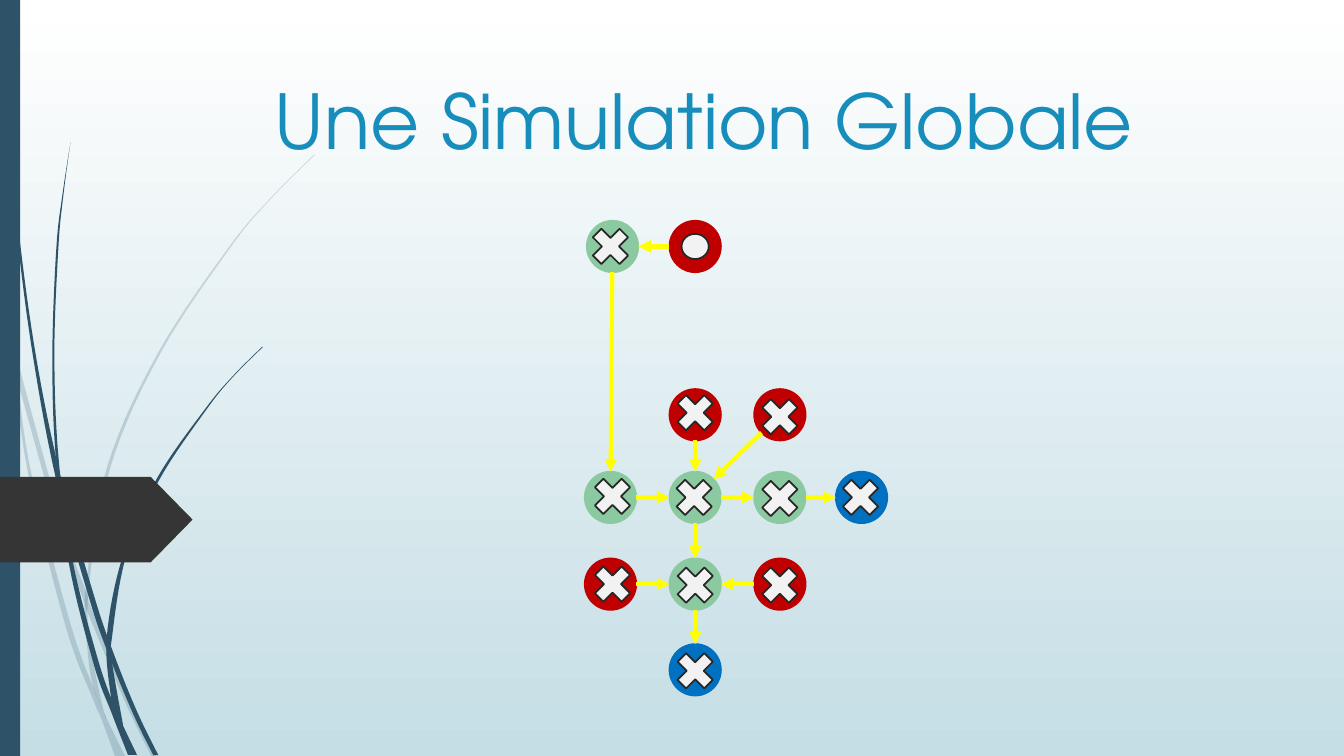
from math import hypot

from lxml import etree
from pptx import Presentation
from pptx import util as u
from pptx.dml.color import RGBColor
from pptx.enum import shapes, text
from pptx.oxml import ns

WHITE = RGBColor(0xFF, 0xFF, 0xFF)
MIST = RGBColor(0xC5, 0xDE, 0xE5)
NAVY = RGBColor(0x2E, 0x53, 0x69)
CHARCOAL = RGBColor(0x35, 0x35, 0x35)
TITLE_BLUE = RGBColor(0x17, 0x8D, 0xBB)
RED = RGBColor(0xC0, 0x00, 0x00)
GREEN = RGBColor(0x8B, 0xC9, 0xA0)
BLUE = RGBColor(0x00, 0x70, 0xC0)
YELLOW = RGBColor(0xFF, 0xFF, 0x00)
MARK_FILL = RGBColor(0xF2, 0xF2, 0xF2)
MARK_LINE = RGBColor(0x27, 0x27, 0x27)

NODE_SIZE = 0.51
SHAPE = shapes.MSO_SHAPE

PALE_BLADES = [
    ([(0, 2.99), (0.1, 3.44), (0.17, 3.76), (0.58, 5.22), (0.84, 5.99),
      (0.88, 6.1), (1.23, 6.94), (1.5, 7.5)],
     [(0, 2.82), (0.09, 3.22), (0.14, 3.45), (0.62, 5.2), (0.85, 5.86),
      (0.92, 6.07), (1.27, 6.92), (1.55, 7.5)]),
    ([(0.11, 3.5), (0.28, 4.7), (0.65, 6.21), (0.92, 6.93), (1.01, 7.14), (1.14, 7.5)],
     [(0.11, 3.5), (0.17, 3.76), (0.31, 4.69), (0.7, 6.19), (0.93, 6.83),
      (1.05, 7.11), (1.24, 7.5)]),
    ([(3.12, 1.53), (2.68, 1.97), (2.28, 2.44), (1.58, 3.48), (1.07, 4.61),
      (0.85, 5.84), (0.87, 6.46), (0.93, 6.83), (1.05, 7.11)],
     [(3.12, 1.54), (2.68, 1.98), (2.29, 2.45), (1.6, 3.49), (1.1, 4.62),
      (0.88, 5.84), (0.91, 6.46), (1.03, 7.06), (1.05, 7.11)]),
]
DARK_BLADES = [
    ([(0.03, 0), (0.04, 0.48), (0.07, 1.1), (0.17, 2.33), (0.33, 3.55), (0.56, 4.77),
      (0.88, 5.92), (1.06, 6.45), (1.32, 7.08), (1.52, 7.49)],
     [(0.04, 0), (0.05, 0.48), (0.08, 1.09), (0.19, 2.32), (0.36, 3.55), (0.6, 4.72),
      (0.93, 5.9), (1.13, 6.49), (1.36, 7.06), (1.57, 7.49)]),
    ([(0.7, 1.41), (0.62, 1.93), (0.56, 2.45), (0.52, 3.49), (0.55, 4.49),
      (0.68, 5.57), (0.93, 6.59), (1.11, 7.08), (1.27, 7.49)],
     [(0.7, 1.41), (0.63, 1.93), (0.58, 2.45), (0.54, 3.49), (0.58, 4.53),
      (0.72, 5.56), (0.98, 6.57), (1.16, 7.06), (1.36, 7.49)]),
    ([(2.6, 3.44), (2.31, 3.73), (2.04, 4.05), (1.56, 4.74), (1.22, 5.51),
      (1.06, 6.31), (1.1, 6.91), (1.17, 7.22)],
     [(2.61, 3.44), (2.31, 3.74), (2.05, 4.06), (1.58, 4.76), (1.25, 5.52),
      (1.11, 6.33), (1.11, 6.56), (1.22, 7.19)]),
]

COLUMNS = [5.8, 6.64, 7.48, 8.29]
ROWS = [2.19, 3.86, 4.68, 5.54, 6.39]
NODES = {
    "start": (RED, COLUMNS[1], ROWS[0]),
    "first": (GREEN, 5.82, ROWS[0]),
    "top source": (RED, COLUMNS[1], ROWS[1]),
    "corner source": (RED, COLUMNS[2], ROWS[1]),
    "west": (GREEN, COLUMNS[0], ROWS[2]),
    "hub": (GREEN, COLUMNS[1], ROWS[2]),
    "east": (GREEN, COLUMNS[2], ROWS[2]),
    "east exit": (BLUE, COLUMNS[3], ROWS[2]),
    "left source": (RED, COLUMNS[0], ROWS[3]),
    "south": (GREEN, COLUMNS[1], ROWS[3]),
    "right source": (RED, COLUMNS[2], ROWS[3]),
    "south exit": (BLUE, COLUMNS[1], ROWS[4]),
}
FLOWS = [
    ("start", "first"), ("first", "west"), ("top source", "hub"),
    ("corner source", "hub"), ("hub", "east"), ("east", "east exit"),
    ("west", "hub"), ("hub", "south"), ("left source", "south"),
    ("right source", "south"), ("south", "south exit"),
]
CROSS_SHIFTS = {
    "first": (-0.02, 0), "top source": (0, -0.02), "corner source": (0, 0.02),
    "west": (0.02, -0.01), "hub": (-0.01, 0), "east": (0, 0.01),
    "east exit": (-0.01, 0), "left source": (0.02, 0), "south": (0, 0.01),
    "right source": (0, 0.01), "south exit": (0, 0.01),
}


def smooth(points, steps=8):
    padded = [points[0], *points, points[-1]]
    curve = [points[0]]
    for a, b, c, d in zip(padded, padded[1:], padded[2:], padded[3:]):
        for step in range(1, steps + 1):
            t = step / steps
            curve.append(tuple(
                0.5 * (2 * q + (r - p) * t + (2 * p - 5 * q + 4 * r - s) * t ** 2
                       + (3 * q - p - 3 * r + s) * t ** 3)
                for p, q, r, s in zip(a, b, c, d)))
    return curve


class SlideBuilder:
    font = "TeX Gyre Adventor"

    def __init__(self, deck):
        self.slide = deck.slides.add_slide(deck.slide_layouts[5])

    def background(self, top, bottom):
        fill = self.slide.background.fill
        fill.gradient()
        fill.gradient_angle = 270
        for stop, colour, position in zip(fill.gradient_stops, (top, bottom), (0, 1)):
            stop.color.rgb = colour
            stop.position = position

    def title(self, words, left, top, width, height):
        box = self.slide.shapes.title
        box.left, box.top = u.Inches(left), u.Inches(top)
        box.width, box.height = u.Inches(width), u.Inches(height)
        frame = box.text_frame
        frame.text = words
        frame.word_wrap = True
        frame.auto_size = text.MSO_AUTO_SIZE.NONE
        frame.vertical_anchor = text.MSO_ANCHOR.BOTTOM
        para = frame.paragraphs[0]
        para.alignment = text.PP_ALIGN.LEFT
        span = para.runs[0]
        span.font.name = self.font
        span.font.size = u.Pt(54)
        span.font.color.rgb = TITLE_BLUE

    def paint(self, shape, fill, line=None):
        shape.shadow.inherit = False
        shape.fill.solid()
        shape.fill.fore_color.rgb = fill
        if line is None:
            shape.line.fill.background()
        else:
            shape.line.color.rgb = line
            shape.line.width = u.Pt(1.25)

    def preset(self, kind, left, top, width, height, fill, line=None):
        shape = self.slide.shapes.add_shape(
            kind, u.Inches(left), u.Inches(top), u.Inches(width), u.Inches(height))
        self.paint(shape, fill, line)
        return shape

    def blade(self, left_edge, right_edge, opacity=100):
        outline = [(u.Inches(x), u.Inches(y))
                   for x, y in smooth(left_edge) + smooth(right_edge)[::-1]]
        builder = self.slide.shapes.build_freeform(*outline[0])
        builder.add_line_segments(outline[1:], close=True)
        shape = builder.convert_to_shape()
        self.paint(shape, NAVY)
        if opacity < 100:
            colour = shape.element.spPr.find(ns.qn("a:solidFill"))[0]
            etree.SubElement(colour, ns.qn("a:alpha"), val=str(opacity * 1000))

    def arrow(self, source, target):
        radius = NODE_SIZE / 2
        x1, y1, x2, y2 = (value + radius for value in (*source, *target))
        distance = hypot(x2 - x1, y2 - y1)
        dx, dy = (x2 - x1) * radius / distance, (y2 - y1) * radius / distance
        arrow = self.slide.shapes.add_connector(
            shapes.MSO_CONNECTOR.STRAIGHT, u.Inches(x1 + dx), u.Inches(y1 + dy),
            u.Inches(x2 - dx), u.Inches(y2 - dy))
        arrow.line.color.rgb = YELLOW
        arrow.line.width = u.Pt(3)
        etree.SubElement(arrow.line._get_or_add_ln(), ns.qn("a:tailEnd"), type="triangle")
        etree.SubElement(arrow.element.spPr, ns.qn("a:effectLst"))


def main():
    deck = Presentation()
    deck.slide_width, deck.slide_height = u.Inches(13.33), u.Inches(7.5)
    page = SlideBuilder(deck)
    page.background(WHITE, MIST)
    for edges in PALE_BLADES:
        page.blade(*edges, opacity=20)
    for edges in DARK_BLADES:
        page.blade(*edges)
    page.preset(SHAPE.RECTANGLE, 0, 0, 0.2, 7.5, NAVY)
    tag = page.preset(SHAPE.PENTAGON, 0, 4.73, 1.91, 0.85, CHARCOAL)
    tag.adjustments[0] = 0.49
    page.title("Une Simulation Globale", 2.62, 0.28, 9.75, 1.4)

    for colour, left, top in NODES.values():
        page.preset(SHAPE.OVAL, left, top, NODE_SIZE, NODE_SIZE, colour, colour)
    for source, target in FLOWS:
        page.arrow(NODES[source][1:], NODES[target][1:])
    page.preset(SHAPE.OVAL, 6.76, 2.32, 0.27, 0.25, MARK_FILL, MARK_LINE)
    for name, (dx, dy) in CROSS_SHIFTS.items():
        colour, left, top = NODES[name]
        page.preset(SHAPE.MATH_MULTIPLY, left + dx, top + dy, NODE_SIZE, NODE_SIZE,
                    MARK_FILL, MARK_LINE)
    deck.save("out.pptx")


if __name__ == "__main__":
    main()
